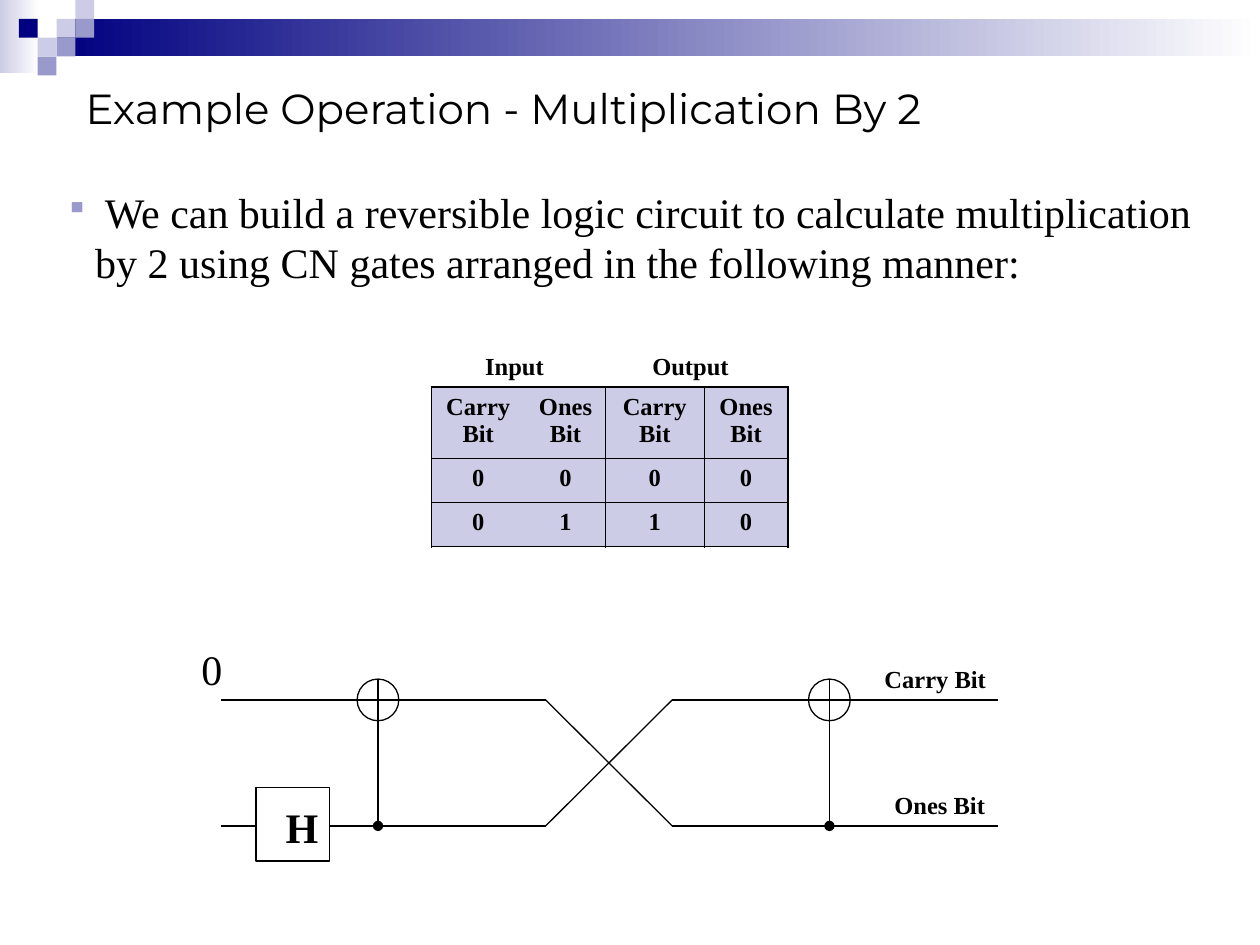
import pptx
import pptx.dml.color
import pptx.enum.shapes
import pptx.enum.text
import pptx.oxml
import pptx.oxml.ns
import pptx.util
from lxml import etree

Cm, Pt = pptx.util.Cm, pptx.util.Pt
RGB = pptx.dml.color.RGBColor.from_string
SHAPE = pptx.enum.shapes.MSO_SHAPE
ALIGN = pptx.enum.text.PP_ALIGN
qn = pptx.oxml.ns.qn

THEME = {
    "ink": "000000", "paper": "FFFFFF", "navy": "000080",
    "violet": "9999CC", "lavender": "CCCCE6",
    "title_font": "Montserrat", "body_font": "Times New Roman",
    "large": 24, "small": 14, "title_end": 36,
    "wire": 0.75, "cell_thin": 0.45, "cell_thick": 1.08,
}


def write(paragraph, text, size, bold=False, font=THEME["body_font"]):
    run = paragraph.add_run()
    run.text = text
    run.font.size = Pt(size)
    run.font.bold = bold
    run.font.name = font
    run.font.color.rgb = RGB(THEME["ink"])


def add_wire(x1, y1, x2, y2):
    wire = slide.shapes.add_connector(
        pptx.enum.shapes.MSO_CONNECTOR.STRAIGHT, Cm(x1), Cm(y1), Cm(x2), Cm(y2))
    wire.line.color.rgb = RGB(THEME["ink"])
    wire.line.width = Pt(THEME["wire"])
    etree.SubElement(wire._element.spPr, qn("a:effectLst"))
    return wire


deck = pptx.Presentation()
deck.slide_width, deck.slide_height = Cm(25.4), Cm(19.05)
slide = deck.slides.add_slide(deck.slide_layouts[5])

# Header: two gradient bands, then a mosaic of squares
for left, top, width, height, color in [
        (0, 0, 0.79, 1.47, "lavender"), (1.14, 0.38, 24.26, 0.76, "navy")]:
    band = slide.shapes.add_shape(SHAPE.RECTANGLE, Cm(left), Cm(top), Cm(width), Cm(height))
    band.shadow.inherit = False
    band.line.fill.background()
    band.fill.gradient()
    band.fill.gradient_angle = 180
    for stop, position, stop_color in zip(band.fill.gradient_stops, (0, 1), ("paper", color)):
        stop.position = position
        stop.color.rgb = RGB(THEME[stop_color])

TILE = 0.38
for column, row, color in [
        (3, 1, "lavender"), (4, 0, "lavender"), (4, 1, "violet"), (2, 2, "lavender"),
        (1, 1, "navy"), (3, 2, "violet"), (2, 3, "violet")]:
    tile = slide.shapes.add_shape(
        SHAPE.RECTANGLE, Cm(column * TILE), Cm(row * TILE), Cm(TILE), Cm(TILE))
    tile.shadow.inherit = False
    tile.line.fill.background()
    tile.fill.solid()
    tile.fill.fore_color.rgb = RGB(THEME[color])

# Title
title = slide.shapes.title
title.left, title.top, title.width, title.height = Cm(1.47), Cm(1.47), Cm(22.86), Cm(1.07)
title.text_frame.vertical_anchor = pptx.enum.text.MSO_ANCHOR.MIDDLE
title.text_frame.auto_size = pptx.enum.text.MSO_AUTO_SIZE.NONE
heading = title.text_frame.paragraphs[0]
heading.alignment = ALIGN.LEFT
write(heading, "Example Operation - Multiplication By 2", THEME["large"], font=THEME["title_font"])
write(heading, " ", THEME["title_end"], font=THEME["title_font"])

# Circuit wires: carry on top, ones below, crossing in the middle
CARRY_Y, ONES_Y = 14.11, 16.65
START_X, CROSS_X, UNCROSS_X, END_X = 4.45, 11.0, 13.55, 20.11
for y, other_y in [(CARRY_Y, ONES_Y), (ONES_Y, CARRY_Y)]:
    add_wire(START_X, y, CROSS_X, y)
    add_wire(CROSS_X, y, UNCROSS_X, other_y)
    add_wire(UNCROSS_X, y, END_X, y)

# CN gates: target circle on the carry wire, control dot on the ones wire
RADIUS = 0.42
for gate_x in (7.62, 16.72):
    target = slide.shapes.add_shape(
        SHAPE.FLOWCHART_OR, Cm(gate_x - RADIUS), Cm(CARRY_Y - RADIUS),
        Cm(2 * RADIUS), Cm(2 * RADIUS))
    target.shadow.inherit = False
    target.fill.background()
    target.line.color.rgb = RGB(THEME["ink"])
    target.line.width = Pt(THEME["wire"])
    control = add_wire(gate_x, CARRY_Y + RADIUS, gate_x, ONES_Y)
    etree.SubElement(control.line._get_or_add_ln(), qn("a:tailEnd"), type="oval")

# H gate
h_gate = slide.shapes.add_shape(SHAPE.RECTANGLE, Cm(5.16), Cm(15.88), Cm(1.48), Cm(1.48))
h_gate.shadow.inherit = False
h_gate.fill.solid()
h_gate.fill.fore_color.rgb = RGB(THEME["paper"])
h_gate.line.color.rgb = RGB(THEME["ink"])
h_gate.line.width = Pt(THEME["wire"])

# Truth table
truth_rows = [
    ["Carry Bit", "Ones Bit", "Carry Bit", "Ones Bit"],
    ["0", "0", "0", "0"],
    ["0", "1", "1", "0"],
]
column_widths, row_heights = [1.9, 1.62, 1.98, 1.7], [1.44, 0.89, 0.89]
truth_frame = slide.shapes.add_table(
    3, 4, Cm(8.69), Cm(7.8), Cm(sum(column_widths)), Cm(sum(row_heights)))
truth = truth_frame.table
truth.first_row = truth.horz_banding = False
# Built-in style without grid or fill
truth._tbl.tblPr.find(qn("a:tableStyleId")).text = "{2D5ABB26-0587-4C30-8999-92F81FD0307C}"
for column, width in zip(truth.columns, column_widths):
    column.width = Cm(width)
thin, thick = THEME["cell_thin"], THEME["cell_thick"]
for r, values in enumerate(truth_rows):
    truth.rows[r].height = Cm(row_heights[r])
    for c, value in enumerate(values):
        cell = truth.cell(r, c)
        edges = {
            "lnL": thin if c in (0, 2) else 0,
            "lnR": {1: thin, 3: thick}.get(c, 0),
            "lnT": thick if r == 0 else thin,
            "lnB": thick if r == 2 else thin,
        }
        for edge, points in edges.items():
            if points:
                border = etree.SubElement(
                    cell._tc.get_or_add_tcPr(), qn("a:" + edge), w=str(Pt(points)))
                ink = etree.SubElement(border, qn("a:solidFill"))
                etree.SubElement(ink, qn("a:srgbClr"), val=THEME["ink"])
        cell.fill.solid()
        cell.fill.fore_color.rgb = RGB(THEME["lavender"])
        entry = cell.text_frame.paragraphs[0]
        entry.alignment = ALIGN.CENTER
        entry.space_before = Pt(3.5)
        write(entry, value, THEME["small"], bold=True)

# Labels and statement
statement = (" We can build a reversible logic circuit to calculate multiplication "
             "by 2 using CN gates arranged in the following manner:")
for text, left, top, width, height, size, bold, before in [
        ("Input", 9.53, 6.96, 1.85, 0.86, "small", True, 8.8),
        ("Output", 12.9, 6.96, 2.34, 0.86, "small", True, 8.8),
        ("Carry Bit", 17.58, 13.26, 2.97, 0.86, "small", True, 8.8),
        ("Ones Bit", 17.78, 15.8, 2.74, 0.86, "small", True, 8.8),
        ("0", 3.81, 12.85, 0.84, 1.27, "large", False, 15),
        ("H", 5.51, 16.03, 0.84, 1.27, "large", True, 15),
        (statement, 1.07, 3.63, 23.29, 2.29, "large", False, 15)]:
    label = slide.shapes.add_textbox(Cm(left), Cm(top), Cm(width), Cm(height))
    label.text_frame.word_wrap = True
    label.text_frame.auto_size = pptx.enum.text.MSO_AUTO_SIZE.SHAPE_TO_FIT_TEXT
    line = label.text_frame.paragraphs[0]
    line.space_before = Pt(before)
    if text == "H":
        line.alignment = ALIGN.CENTER
    if text == statement:
        bullet = line._p.get_or_add_pPr()
        bullet.set("marL", str(Cm(0.6)))
        bullet.set("indent", str(-Cm(0.6)))
        bullet_color = etree.SubElement(bullet, qn("a:buClr"))
        etree.SubElement(bullet_color, qn("a:srgbClr"), val=THEME["violet"])
        etree.SubElement(bullet, qn("a:buSzPct"), val="75000")
        etree.SubElement(bullet, qn("a:buChar"), char="▪")
    write(line, text, THEME[size], bold)

deck.save("out.pptx")
